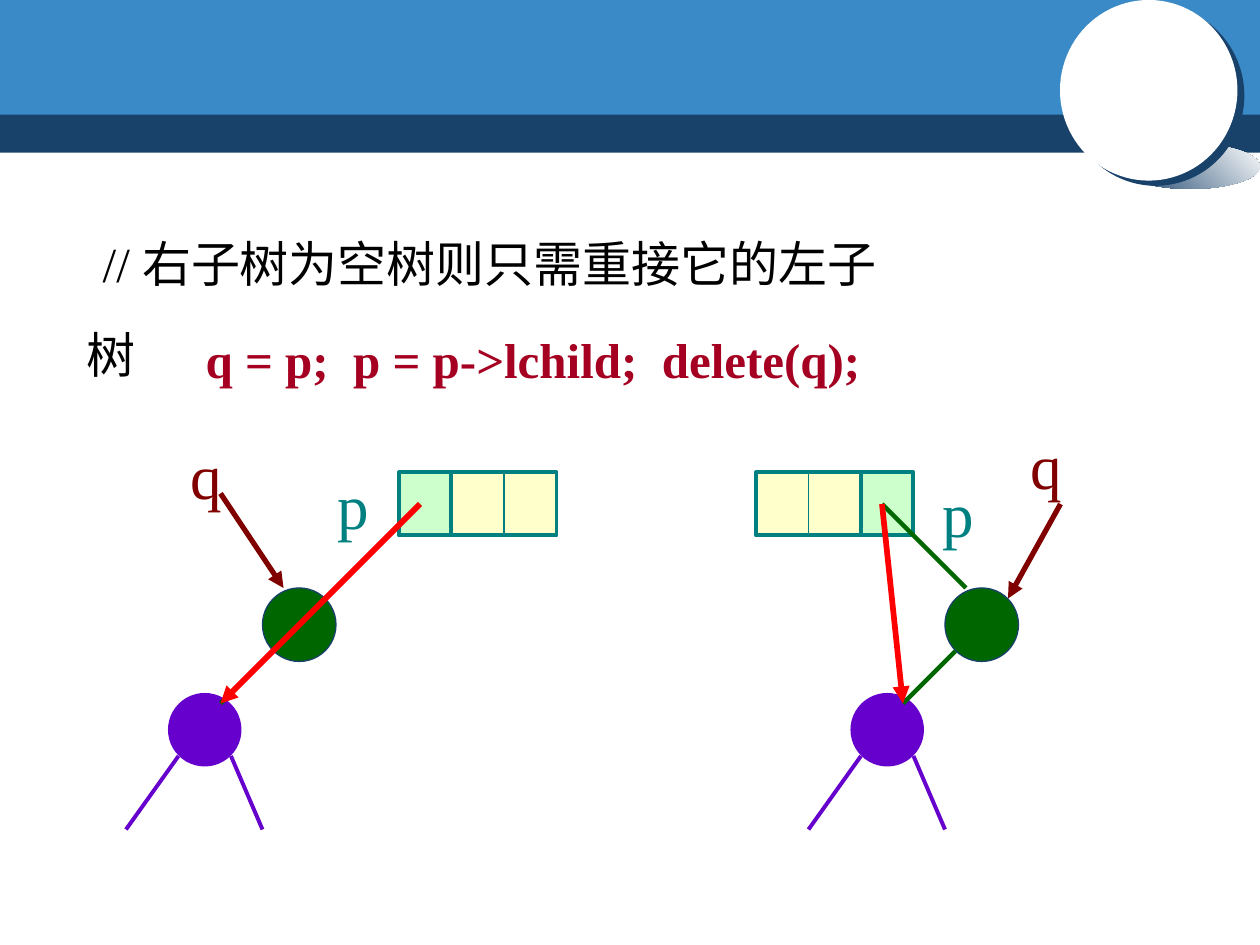
from lxml.etree import SubElement
from pptx import Presentation
from pptx.dml.color import RGBColor
from pptx.enum.shapes import MSO_CONNECTOR as Link, MSO_SHAPE as Preset
from pptx.oxml.ns import qn
from pptx.util import Inches, Pt

UNIT = Inches(1) / 12
TEAL, GREEN, PURPLE = "008080", "006600", "6600CC"
NAVY, MAROON, CRIMSON, RED = "19426B", "800000", "A50021", "FF0000"
FACE = "Times New Roman"


def grid(*steps):
    """Turn grid steps of a twelfth of an inch into lengths."""
    return [round(step * UNIT) for step in steps]


def color(hex_code):
    """Return the colour for a hex string."""
    return RGBColor.from_string(hex_code)


def add_figure(slide, preset, box, fill, line=None, weight=2.25):
    """Add a flat preset shape on the grid."""
    figure = slide.shapes.add_shape(preset, *grid(*box))
    figure.shadow.inherit = False
    figure.fill.solid()
    figure.fill.fore_color.rgb = color(fill)
    if line:
        figure.line.color.rgb = color(line)
        figure.line.width = Pt(weight)
    else:
        figure.line.fill.background()
    return figure


def add_line(slide, ends, hex_code, weight, arrow=False):
    """Add a straight line, with an arrowhead at its end if asked."""
    line = slide.shapes.add_connector(Link.STRAIGHT, *grid(*ends))
    line.line.color.rgb = color(hex_code)
    line.line.width = Pt(weight)
    if arrow:
        SubElement(line.line._get_or_add_ln(), qn("a:tailEnd"), type="triangle")
    SubElement(line._element.spPr, qn("a:effectLst"))
    return line


def add_text(slide, box, text, hex_code, size=36, bold=False, wrap=False):
    """Add a one-paragraph text box and return its paragraph."""
    frame = slide.shapes.add_textbox(*grid(*box)).text_frame
    frame.word_wrap = wrap
    paragraph = frame.paragraphs[0]
    paragraph.text = text
    font = paragraph.font
    font.name, font.size, font.bold = FACE, Pt(size), bold
    font.color.rgb = color(hex_code)
    return paragraph


def add_banner(slide):
    """Draw the header bands and the white disc with its shadows."""
    add_figure(slide, Preset.RECTANGLE, (0, 10.44, 120, 4.1), NAVY)
    add_figure(slide, Preset.RECTANGLE, (0, 0, 120, 10.92), "398AC7")
    glow = add_figure(slide, Preset.OVAL, (106.7, 13.7, 13.3, 4.3), NAVY)
    glow.fill.gradient()
    glow.fill.gradient_angle = 45
    for stop, shade in zip(glow.fill.gradient_stops, (NAVY, "FFFFFF")):
        stop.color.rgb = color(shade)
    disc = add_figure(slide, Preset.OVAL, (100.95, 0, 16.9, 17.2), "FFFFFF")
    effects = disc._element.spPr.find(qn("a:effectLst"))
    shadow = SubElement(effects, qn("a:outerShdw"), blurRad="0",
                        dist=str(Pt(5)), dir=str(37 * 60000),
                        algn="ctr", rotWithShape="0")
    SubElement(shadow, qn("a:srgbClr"), val=NAVY)
    add_figure(slide, Preset.OVAL, (106.6, 6, 6, 5.9), "FFFFFF")


def add_tree(slide, left, pointer, data, parent_edge, label):
    """Draw a parent record, the deleted node and its left subtree."""
    add_figure(slide, Preset.RECTANGLE, (pointer, 45, 5, 6), "CCFFCC", TEAL)
    fields = add_figure(slide, Preset.RECTANGLE, (data, 45, 10, 6), "FFFFCC", TEAL)
    divider = add_line(slide, (data + 5, 45, data + 5, 51), TEAL, 0.75)
    divider.begin_connect(fields, 0)
    divider.end_connect(fields, 2)
    add_figure(slide, Preset.OVAL, (left + 13, 56, 7, 7), GREEN, NAVY, 0.75)
    add_figure(slide, Preset.OVAL, (left + 4, 66, 7, 7), PURPLE)
    for start, end in ((5, 0), (10, 13)):
        add_line(slide, (left + start, 72, left + end, 79), PURPLE, 2.25)
    add_line(slide, (left + 14, 62, left + 9, 67), GREEN, 2.5)
    add_line(slide, parent_edge, GREEN, 2.5)
    add_text(slide, (*label, 5.4, 8.4), "p", TEAL)


def add_pointers(slide, relink, mark, label):
    """Draw the new child link and the q pointer with its label."""
    add_line(slide, relink, RED, 3.25, arrow=True)
    add_line(slide, mark, MAROON, 3, arrow=True)
    add_text(slide, (*label, 7, 8.4), "q", MAROON, wrap=True)


def add_statement(slide):
    """Write the comment and the code line."""
    comment = add_text(slide, (7.1, 16.7, 81, 12), " ", CRIMSON, wrap=True)
    comment.line_spacing = 1.5
    remark = comment.add_run()
    remark.text = "// 右子树为空树则只需重接它的左子树"
    remark.font.size = Pt(28)
    remark.font.color.rgb = color("000000")
    add_text(slide, (18.4, 30.8, 64.9, 6.9),
             "q = p;  p = p->lchild;  delete(q);", CRIMSON, 28, bold=True)


def main():
    """Build and save the slide."""
    deck = Presentation()
    deck.slide_width, deck.slide_height = grid(120, 90)
    slide = deck.slides.add_slide(deck.slide_layouts[6])
    add_banner(slide)
    add_statement(slide)
    add_tree(slide, 12, 38, 43, (40, 48, 31, 57), (31, 43.8))
    add_tree(slide, 77, 82, 72, (84, 48, 92, 56), (88.6, 44.6))
    add_pointers(slide, (40, 48, 21, 67), (21, 47, 27, 56), (17, 41))
    add_pointers(slide, (84, 48, 86, 67), (101, 48, 96, 57), (97, 40))
    deck.save("out.pptx")


if __name__ == "__main__":
    main()
